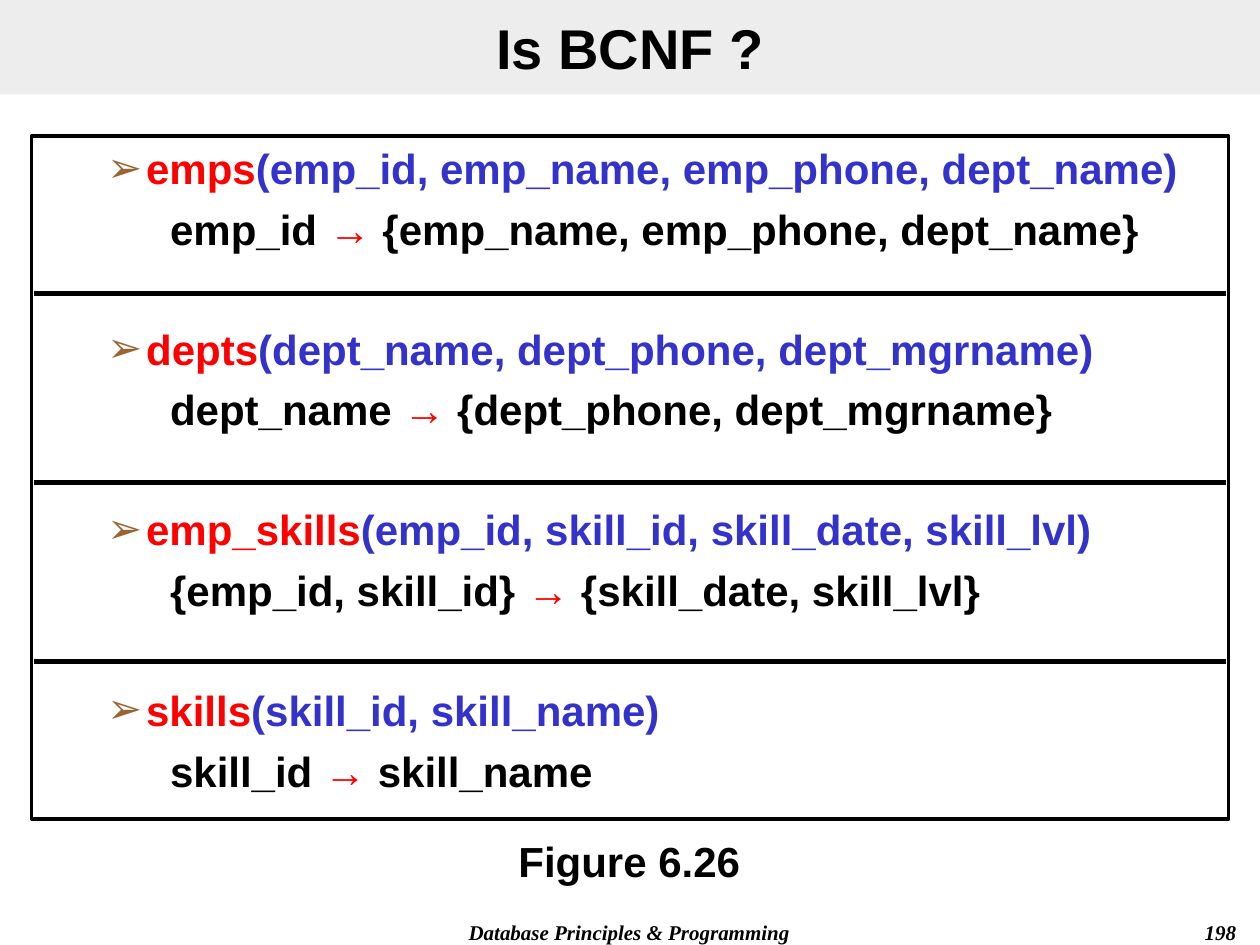
from dataclasses import dataclass

from lxml import etree
from pptx import Presentation
from pptx.dml.color import RGBColor
from pptx.enum import text
from pptx.oxml import ns
from pptx.util import Inches, Pt


@dataclass(frozen=True)
class Theme:
    ink: str = "000000"
    relation: str = "FF0000"
    attributes: str = "3333CC"
    bullet: str = "996633"
    band: str = "DDDDDD"
    sans: str = "Arial"
    serif: str = "Times New Roman"
    title_size: int = 32
    body_size: int = 24
    footer_size: int = 12
    line_gap: float = 6
    group_gap: float = 39.6


class SlideBuilder:
    def __init__(self, slide, theme):
        self.slide = slide
        self.theme = theme

    def place(self, sp, box, anchor):
        sp.left, sp.top, sp.width, sp.height = map(Inches, box)
        tf = sp.text_frame
        tf.word_wrap = True
        tf.auto_size = text.MSO_AUTO_SIZE.NONE
        tf.vertical_anchor = anchor
        return tf

    def run(self, p, words, color, size, font=None, italic=False):
        r = p.add_run()
        r.text = words
        r.font.name = font or self.theme.sans
        r.font.size = Pt(size)
        r.font.bold = True
        r.font.italic = italic
        r.font.color.rgb = RGBColor.from_string(color)

    def title(self, words, box):
        t = self.theme
        sp = self.slide.shapes.title
        tf = self.place(sp, box, text.MSO_ANCHOR.MIDDLE)
        sp.fill.solid()
        sp.fill.fore_color.rgb = RGBColor.from_string(t.band)
        color = sp.fill._xPr.find(".//" + ns.qn("a:srgbClr"))
        etree.SubElement(color, ns.qn("a:alpha"), val="50000")
        p = tf.paragraphs[0]
        p.alignment = text.PP_ALIGN.CENTER
        self.run(p, words, t.ink, t.title_size)

    def label(self, words, box, size, align, font=None, italic=False):
        sp = self.slide.shapes.add_textbox(0, 0, 0, 0)
        p = self.place(sp, box, text.MSO_ANCHOR.TOP).paragraphs[0]
        p.alignment = align
        self.run(p, words, self.theme.ink, size, font, italic)

    def outline(self, p, level, margin, indent, gap, bullet=None):
        p.level = level
        p.alignment = text.PP_ALIGN.LEFT
        p.space_before = Pt(gap)
        pPr = p._p.get_or_add_pPr()
        pPr.set("marL", str(Inches(margin)))
        pPr.set("indent", str(Inches(indent)))
        if bullet:
            color = etree.SubElement(pPr, ns.qn("a:buClr"))
            etree.SubElement(color, ns.qn("a:srgbClr"), val=self.theme.bullet)
            etree.SubElement(pPr, ns.qn("a:buFont"), typeface=self.theme.sans)
            etree.SubElement(pPr, ns.qn("a:buChar"), char=bullet)
        else:
            etree.SubElement(pPr, ns.qn("a:buNone"))

    def relations(self, rows, box):
        t = self.theme
        sp = self.slide.placeholders[1]
        tf = self.place(sp, box, text.MSO_ANCHOR.TOP)
        sp.line.color.rgb = RGBColor.from_string(t.ink)
        sp.line.width = Pt(2)
        for i, (name, attributes, key, dependents) in enumerate(rows):
            p = tf.add_paragraph() if i else tf.paragraphs[0]
            self.outline(p, 1, 0.81, -0.31, t.group_gap if i else 0, "➢")
            self.run(p, name, t.relation, t.body_size)
            self.run(p, attributes, t.attributes, t.body_size)
            p = tf.add_paragraph()
            self.outline(p, 2, 1.25, -0.25, t.line_gap)
            self.run(p, key + " ", t.ink, t.body_size)
            self.run(p, "→ ", t.relation, t.body_size)
            self.run(p, dependents, t.ink, t.body_size)

    def divider(self, y, left, right):
        line = self.slide.shapes.add_connector(
            1, Inches(left), Inches(y), Inches(right), Inches(y))
        line.line.color.rgb = RGBColor.from_string(self.theme.ink)
        line.line.width = Pt(3)
        etree.SubElement(line._element.spPr, ns.qn("a:effectLst"))


RELATIONS = [
    ("emps", "(emp_id, emp_name, emp_phone, dept_name)",
     "emp_id", "{emp_name, emp_phone, dept_name}"),
    ("depts", "(dept_name, dept_phone, dept_mgrname)",
     "dept_name", "{dept_phone, dept_mgrname}"),
    ("emp_skills", "(emp_id, skill_id, skill_date, skill_lvl)",
     "{emp_id, skill_id}", "{skill_date, skill_lvl}"),
    ("skills", "(skill_id, skill_name)", "skill_id", "skill_name"),
]


def main():
    prs = Presentation()
    prs.slide_width, prs.slide_height = Inches(10), Inches(7.5)
    theme = Theme()
    s = SlideBuilder(prs.slides.add_slide(prs.slide_layouts[1]), theme)
    center, right = text.PP_ALIGN.CENTER, text.PP_ALIGN.RIGHT

    s.title("Is BCNF ?", (0, 0, 10, 0.75))
    s.relations(RELATIONS, (0.25, 1.08, 9.5, 5.42))
    s.label("Figure 6.26", (0.33, 6.58, 9.33, 0.5), theme.body_size, center)
    for y in (2.33, 3.83, 5.25):
        s.divider(y, 0.27, 9.73)
    s.label("Database Principles & Programming", (2.83, 7.25, 4.33, 0.25),
            theme.footer_size, center, theme.serif, True)
    s.label("198", (7.83, 7.25, 2.08, 0.25),
            theme.footer_size, right, theme.serif, True)
    prs.save("out.pptx")


if __name__ == "__main__":
    main()
